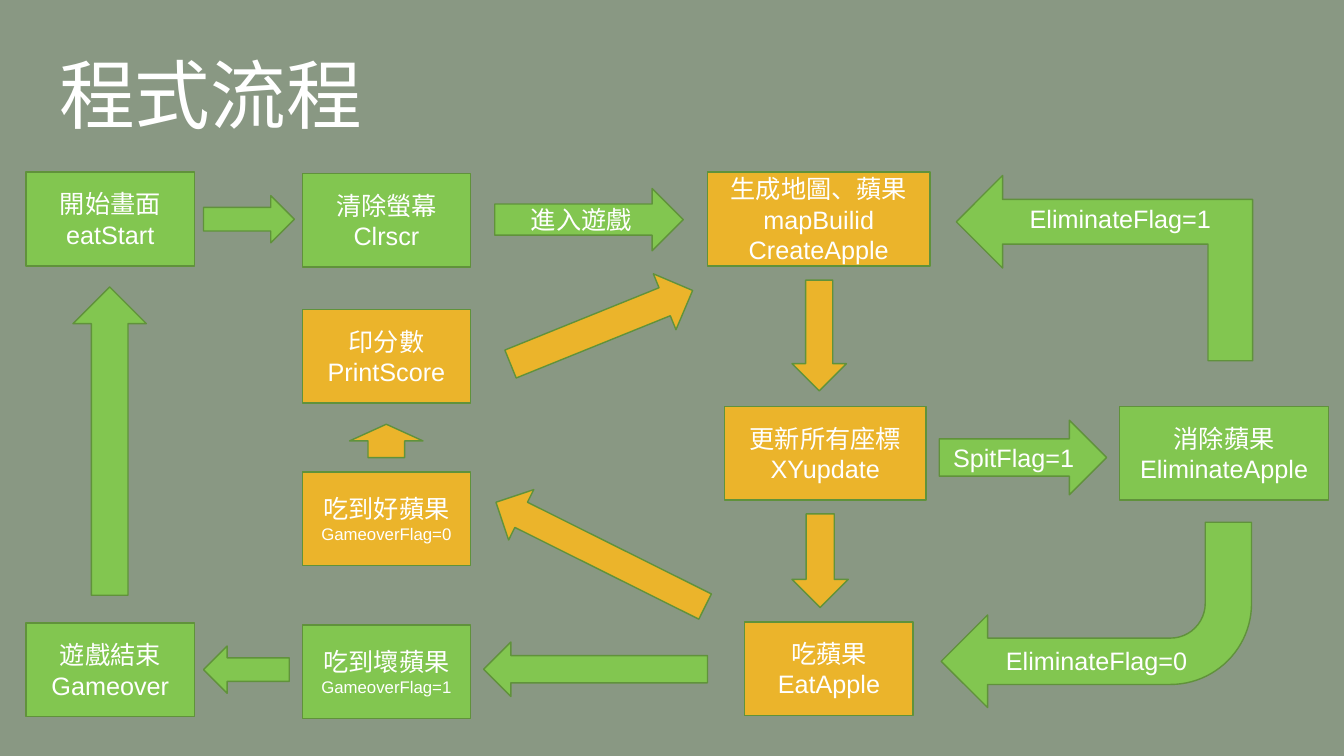
from pptx import Presentation
from pptx.dml.color import RGBColor
from pptx.enum.shapes import MSO_SHAPE
from pptx.enum.text import MSO_ANCHOR, MSO_AUTO_SIZE, PP_ALIGN
from pptx.util import Cm, Pt

PROCESS = MSO_SHAPE.FLOWCHART_PROCESS
RIGHT, LEFT, DOWN = MSO_SHAPE.RIGHT_ARROW, MSO_SHAPE.LEFT_ARROW, MSO_SHAPE.DOWN_ARROW
BENT, BENT_UP = MSO_SHAPE.BENT_ARROW, MSO_SHAPE.BENT_UP_ARROW
MIDDLE, TOP = MSO_ANCHOR.MIDDLE, MSO_ANCHOR.TOP
CENTER, ALIGN_LEFT = PP_ALIGN.CENTER, PP_ALIGN.LEFT
NO_FIT = MSO_AUTO_SIZE.NONE

SAGE = RGBColor(0x89, 0x98, 0x83)
GREEN = RGBColor(0x82, 0xC6, 0x50)
AMBER = RGBColor(0xEB, 0xB4, 0x2B)
EDGE = RGBColor(0x60, 0x92, 0x3B)
WHITE = RGBColor(0xFF, 0xFF, 0xFF)

# Content: all lengths in centimetres
TITLE = "程式流程"
TITLE_PLACE = (1.24, 1.07, 11.58, 2.57)
STEP_WIDTH, STEP_HEIGHT = 4.24, 2.36
START_COLUMN, SCORE_COLUMN = 0.66, 7.62
NAME_SIZE, FLAG_SIZE = 18, 12

# Steps: name, function or flag lines, their size, left, top, width, fill
STEPS = [
    ("開始畫面", ["eatStart"], NAME_SIZE, START_COLUMN, 4.34, STEP_WIDTH, GREEN),
    ("清除螢幕", ["Clrscr"], NAME_SIZE, SCORE_COLUMN, 4.37, STEP_WIDTH, GREEN),
    ("生成地圖、蘋果", ["mapBuilid", "CreateApple"], NAME_SIZE, 17.83, 4.34, 5.61, AMBER),
    ("更新所有座標", ["XYupdate"], NAME_SIZE, 18.26, 10.24, 5.08, AMBER),
    ("消除蘋果", ["EliminateApple"], NAME_SIZE, 28.22, 10.24, 5.26, GREEN),
    ("吃蘋果", ["EatApple"], NAME_SIZE, 18.77, 15.67, STEP_WIDTH, AMBER),
    ("印分數", ["PrintScore"], NAME_SIZE, SCORE_COLUMN, 7.8, STEP_WIDTH, AMBER),
    ("吃到好蘋果", ["GameoverFlag=0"], FLAG_SIZE, SCORE_COLUMN, 11.89, STEP_WIDTH, AMBER),
    ("吃到壞蘋果", ["GameoverFlag=1"], FLAG_SIZE, SCORE_COLUMN, 15.75, STEP_WIDTH, GREEN),
    ("遊戲結束", ["Gameover"], NAME_SIZE, START_COLUMN, 15.7, STEP_WIDTH, GREEN),
]

# Arrows: kind, place before rotation, rotation, fill, label
ARROWS = [
    (RIGHT, (5.13, 4.93, 2.29, 1.19), 0, GREEN, ""),
    (RIGHT, (12.47, 4.75, 4.75, 1.57), 0, GREEN, "進入遊戲"),
    (DOWN, (19.96, 7.06, 1.37, 2.79), 0, AMBER, ""),
    (RIGHT, (23.67, 10.59, 4.22, 1.88), 0, GREEN, "SpitFlag=1"),
    (DOWN, (19.96, 12.95, 1.42, 2.36), 0, AMBER, ""),
    (LEFT, (12.19, 13.26, 5.89, 1.42), 26.5, AMBER, ""),
    (LEFT, (12.19, 16.18, 5.64, 1.37), 0, GREEN, ""),
    (DOWN, (8.81, 10.69, 1.85, 0.84), 180, AMBER, ""),
    (DOWN, (14.4, 5.77, 1.52, 4.95), 248, AMBER, ""),
    (LEFT, (5.13, 16.28, 2.16, 1.19), 0, GREEN, ""),
    (RIGHT, (-1.12, 10.19, 7.77, 1.85), 270, GREEN, ""),
    (BENT_UP, (25.5, 3.02, 4.67, 7.47), 270, GREEN, ""),
    (BENT, (23.72, 13.16, 7.82, 4.67), 180, GREEN, ""),
]
BENT_UP_SHAFT = 0.241

ELIMINATE_LABELS = [
    ("EliminateFlag=1", (25.7, 5.0, 5.87, 1.8)),
    ("EliminateFlag=0", (25.1, 16.13, 5.61, 1.8)),
]


def in_cm(place):
    return [Cm(length) for length in place]


def write(frame, lines, alignment, anchor):
    """Fill a text frame with (text, size) lines."""
    frame_format = {"word_wrap": True, "auto_size": NO_FIT, "vertical_anchor": anchor}
    for attribute, value in frame_format.items():
        setattr(frame, attribute, value)
    for number, (text, size) in enumerate(lines):
        paragraph = frame.add_paragraph() if number else frame.paragraphs[0]
        paragraph.alignment = alignment
        run = paragraph.add_run()
        run.text = text
        for attribute, value in {"name": "Arial", "size": Pt(size)}.items():
            setattr(run.font, attribute, value)
        run.font.color.rgb = WHITE


def add_block(slide, kind, place, fill, lines):
    block = slide.shapes.add_shape(kind, *in_cm(place))
    block.shadow.inherit = False
    block.fill.solid()
    block.fill.fore_color.rgb = fill
    block.line.color.rgb = EDGE
    block.line.width = Pt(1)
    if lines:
        write(block.text_frame, lines, CENTER, MIDDLE)
    return block


def main():
    deck = Presentation()
    deck.slide_width, deck.slide_height = Cm(33.87), Cm(19.05)
    slide = deck.slides.add_slide(deck.slide_layouts[5])
    slide.background.fill.solid()
    slide.background.fill.fore_color.rgb = SAGE

    # Title
    title = slide.shapes.title
    title.left, title.top, title.width, title.height = in_cm(TITLE_PLACE)
    write(title.text_frame, [(TITLE, 54)], ALIGN_LEFT, MIDDLE)

    # Steps
    for name, details, detail_size, left, top, width, fill in STEPS:
        lines = [(name, NAME_SIZE)] + [(detail, detail_size) for detail in details]
        add_block(slide, PROCESS, (left, top, width, STEP_HEIGHT), fill, lines)

    # Arrows
    for kind, place, rotation, fill, label in ARROWS:
        lines = [(label, NAME_SIZE)] if label else []
        arrow = add_block(slide, kind, place, fill, lines)
        arrow.rotation = rotation
        if kind == BENT_UP:
            arrow.adjustments[0] = BENT_UP_SHAFT

    # Labels on the bent arrows
    for text, place in ELIMINATE_LABELS:
        label = slide.shapes.add_textbox(*in_cm(place))
        write(label.text_frame, [(text, NAME_SIZE)], ALIGN_LEFT, TOP)

    deck.save("out.pptx")


if __name__ == "__main__":
    main()
